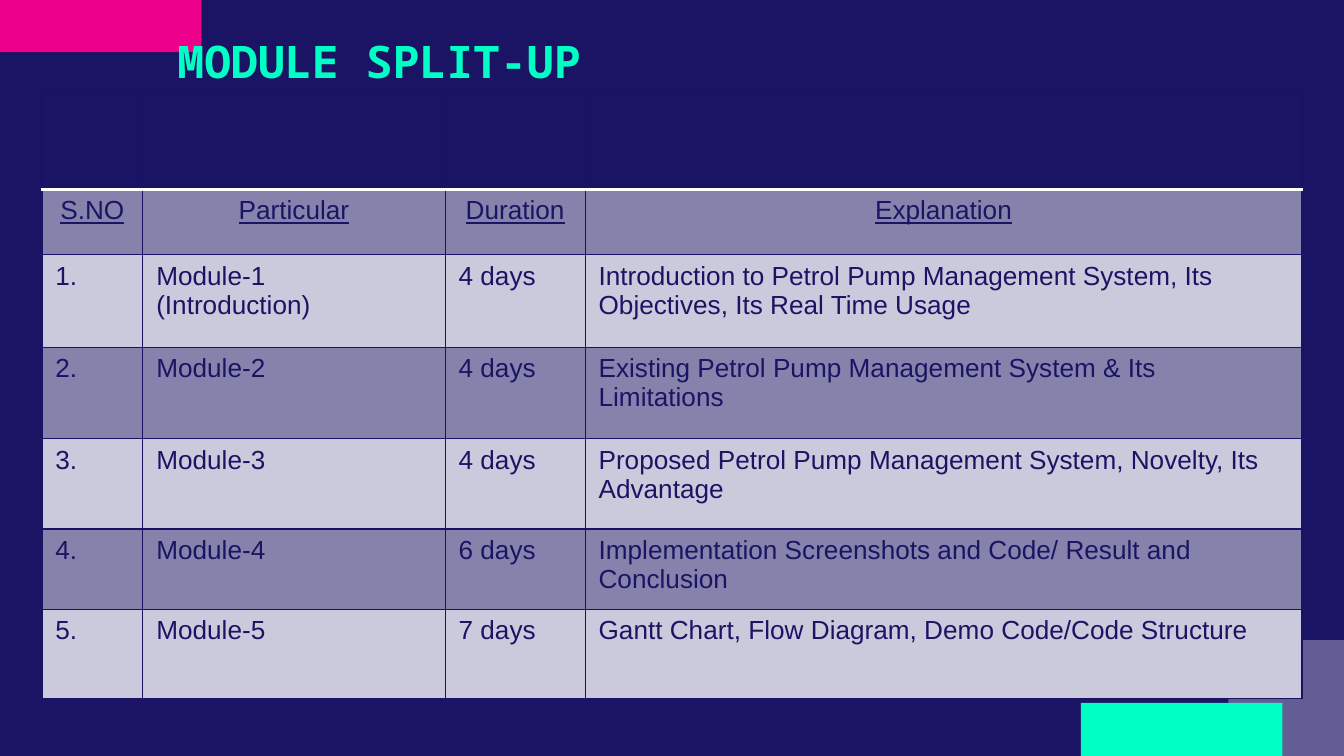
from lxml import etree
from pptx import Presentation
from pptx.dml.color import RGBColor
from pptx.enum.shapes import MSO_SHAPE as Shape
from pptx.enum.text import PP_ALIGN as Align
from pptx.oxml.ns import qn
from pptx.util import Pt

COLORS = {
    "navy": "1B1464",
    "border": "191264",
    "pink": "EC008C",
    "mint": "00FFC5",
    "haze": "625D94",
    "dark_band": "8582AB",
    "light_band": "CBC9DC",
    "white": "FFFFFF",
}


def rgb(name):
    return RGBColor.from_string(COLORS[name])


def add_border(cell, side, color, width):
    line = etree.SubElement(cell._tc.get_or_add_tcPr(), qn(f"a:{side}"), w=str(Pt(width)))
    fill = etree.SubElement(line, qn("a:solidFill"))
    etree.SubElement(fill, qn("a:srgbClr"), val=COLORS[color])


deck = Presentation()
deck.slide_width, deck.slide_height = Pt(720), Pt(405)
slide = deck.slides.add_slide(deck.slide_layouts[6])
slide.background.fill.solid()
slide.background.fill.fore_color.rgb = rgb("navy")

corner_blocks = [
    (0, 0, 108, 28, "pink"),
    (658, 343, 62, 62, "haze"),
    (579, 376.5, 108, 28.5, "mint"),
]
for left, top, width, height, color in corner_blocks:
    block = slide.shapes.add_shape(Shape.RECTANGLE, Pt(left), Pt(top), Pt(width), Pt(height))
    block.shadow.inherit = False
    block.fill.solid()
    block.fill.fore_color.rgb = rgb(color)
    block.line.fill.background()

title = slide.shapes.add_textbox(Pt(88), Pt(16), Pt(360), Pt(53)).text_frame
title.word_wrap = True
title.margin_top = Pt(2)
heading = title.paragraphs[0].add_run()
heading.text = "MODULE SPLIT-UP"
heading.font.name = "Noto Sans Mono"
heading.font.size = Pt(24)
heading.font.bold = True
heading.font.color.rgb = rgb("mint")

rows = [
    ("", "", "", ""),
    ("S.NO", "Particular", "Duration", "Explanation"),
    ("1.", "Module-1\n(Introduction)", "4 days",
     "Introduction to Petrol Pump Management System, Its Objectives, Its Real Time Usage"),
    ("2.", "Module-2", "4 days", "Existing Petrol Pump Management System & Its Limitations"),
    ("3.", "Module-3", "4 days", "Proposed Petrol Pump Management System, Novelty, Its Advantage"),
    ("4.", "Module-4", "6 days", "Implementation Screenshots and Code/ Result and Conclusion"),
    ("5.", "Module-5", "7 days", "Gantt Chart, Flow Diagram, Demo Code/Code Structure"),
]
column_widths = [54, 162, 75, 384]
row_heights = [52.5, 35, 49.5, 49, 48.5, 43, 48]

schedule = slide.shapes.add_table(
    len(rows), len(column_widths), Pt(22.5), Pt(49),
    Pt(sum(column_widths)), Pt(sum(row_heights)),
).table
for column, width in zip(schedule.columns, column_widths):
    column.width = Pt(width)

for r, (texts, height) in enumerate(zip(rows, row_heights)):
    schedule.rows[r].height = Pt(height)
    band = "navy" if r == 0 else "dark_band" if r % 2 else "light_band"
    for c, text in enumerate(texts):
        cell = schedule.cell(r, c)
        for side in ("lnL", "lnR"):
            add_border(cell, side, "border", 0.75)
        add_border(cell, "lnT", *(("white", 2) if r == 1 else ("border", 0.75)))
        add_border(cell, "lnB", *(("white", 2) if r == 0 else ("border", 0.75)))
        cell.fill.solid()
        cell.fill.fore_color.rgb = rgb(band)
        if not text:
            continue
        for i, line in enumerate(text.split("\n")):
            frame = cell.text_frame
            paragraph = frame.add_paragraph() if i else frame.paragraphs[0]
            paragraph.alignment = Align.CENTER if r == 1 else Align.LEFT
            run = paragraph.add_run()
            run.text = line
            run.font.name = "Arial"
            run.font.size = Pt(14)
            run.font.bold = False
            run.font.underline = r == 1
            run.font.color.rgb = rgb("navy")

deck.save("out.pptx")
